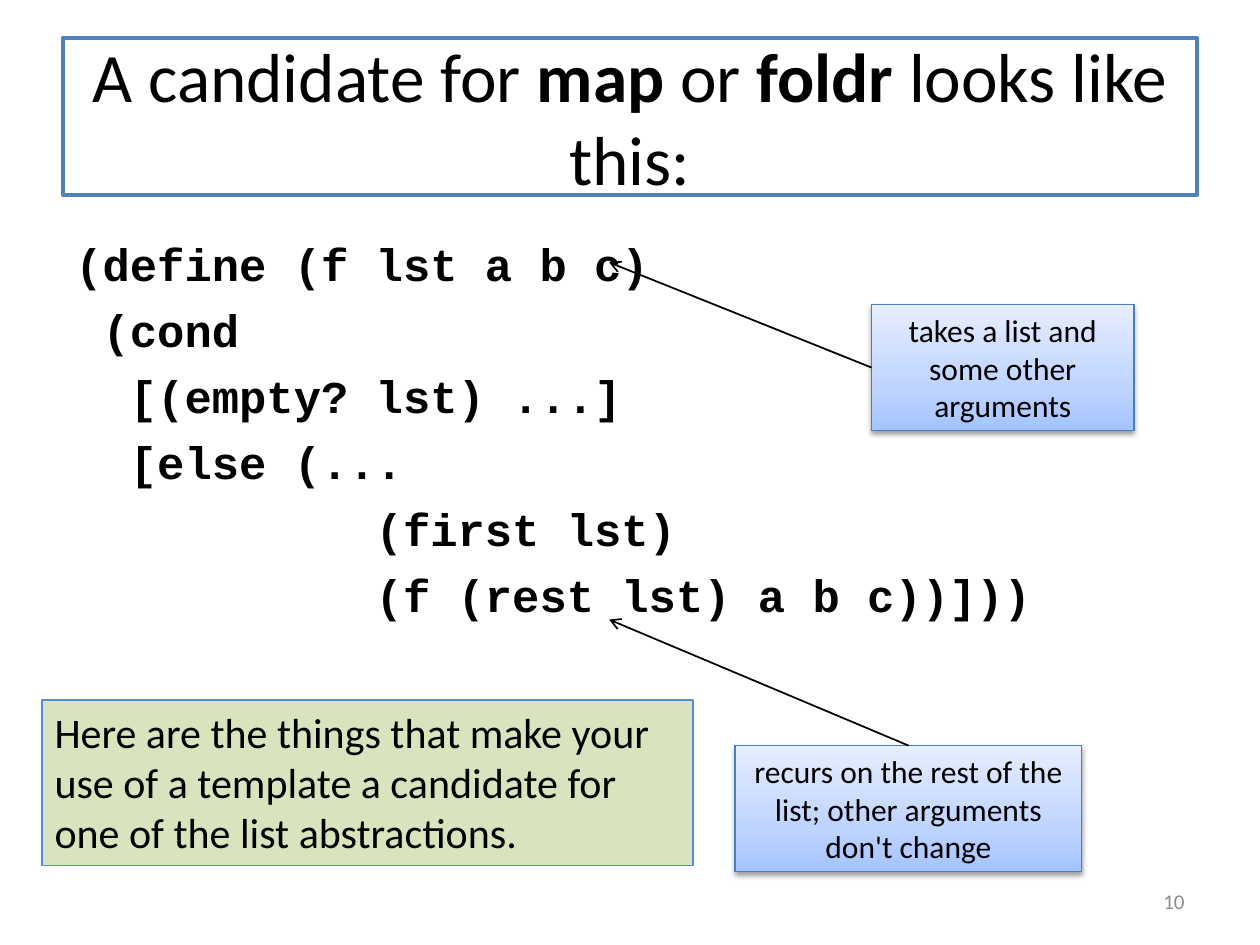
from lxml import etree
from pptx import Presentation
from pptx import util as u
from pptx.dml.color import RGBColor
from pptx.enum import shapes, text
from pptx.oxml.ns import qn

LEFT, CENTER, RIGHT = text.PP_ALIGN.LEFT, text.PP_ALIGN.CENTER, text.PP_ALIGN.RIGHT
TOP, MIDDLE = text.MSO_ANCHOR.TOP, text.MSO_ANCHOR.MIDDLE

TITLE = [("A candidate for ", False), ("map", True), (" or ", False),
         ("foldr", True), (" looks like this:", False)]
CODE = """(define (f lst a b c)
 (cond
  [(empty? lst) ...]
  [else (...
           (first lst)
           (f (rest lst) a b c))]))"""
SUMMARY = ("Here are the things that make your use of a template "
           "a candidate for one of the list abstractions.")
CALLOUT_STOPS = [(0, "A4C4FF"), (35, "BFD4FF"), (100, "E6EEFF")]


def color(value):
    return RGBColor.from_string(value)


def child(parent, tag, **attributes):
    return etree.SubElement(parent, qn(tag), {k: str(v) for k, v in attributes.items()})


def style(font, size, name="Calibri", ink="000000"):
    font.size = u.Pt(size)
    font.name = name
    font.color.rgb = color(ink)


def set_frame(box, anchor):
    frame = box.text_frame
    frame.word_wrap = True
    frame.vertical_anchor = anchor
    return frame


def write(box, words, size, align, anchor, ink="000000"):
    para = set_frame(box, anchor).paragraphs[0]
    para.text = words
    para.alignment = align
    style(para.font, size, ink=ink)


def add_panel(page, place, line, width):
    box = page.shapes.add_shape(shapes.MSO_SHAPE.RECTANGLE, *map(u.Cm, place))
    box.shadow.inherit = False
    box.line.color.rgb = color(line)
    box.line.width = u.Pt(width)
    return box


def add_solid_panel(page, place, fill, line, width):
    box = add_panel(page, place, line, width)
    box.fill.solid()
    box.fill.fore_color.rgb = color(fill)
    return box


def add_title(page, place):
    box = add_solid_panel(page, place, "FFFFFF", "4F81BD", 2.25)
    para = set_frame(box, MIDDLE).paragraphs[0]
    para.alignment = CENTER
    style(para.font, 39.6)
    for words, bold in TITLE:
        span = para.add_run()
        span.text = words
        span.font.bold = bold


def add_code(page, place):
    box = page.shapes.add_textbox(*map(u.Cm, place))
    frame = set_frame(box, TOP)
    frame.margin_top = u.Cm(0.3)
    for number, line in enumerate(CODE.split("\n")):
        para = frame.add_paragraph() if number else frame.paragraphs[0]
        para.text = line
        para.space_before = u.Pt(6.7 if number else 0)
        indent = u.Cm(0.95)
        properties = para._p.get_or_add_pPr()
        properties.set("marL", str(indent))
        properties.set("indent", str(-indent))
        style(para.font, 26, "Courier New")
        para.font.bold = True


def add_callout(page, place, words):
    box = add_panel(page, place, "4B7EBC", 0.75)
    # Three-stop gradient, darkest at the bottom
    box.fill.gradient()
    box.fill.gradient_angle = 90
    properties = box._element.spPr
    stops = properties.find(".//" + qn("a:gsLst"))
    for stop in list(stops):
        stops.remove(stop)
    for position, value in CALLOUT_STOPS:
        child(child(stops, "a:gs", pos=position * 1000), "a:srgbClr", val=value)
    # Soft shadow below
    shadow = child(properties.find(qn("a:effectLst")), "a:outerShdw", blurRad=u.Pt(3.1),
                   dist=u.Pt(1.6), dir=90 * 60000, rotWithShape=0)
    child(child(shadow, "a:srgbClr", val="000000"), "a:alpha", val=38000)
    write(box, words, 18, CENTER, MIDDLE)
    return box


def add_arrow(page, box, side, tip):
    x, y = map(u.Cm, tip)
    arrow = page.shapes.add_connector(shapes.MSO_CONNECTOR.STRAIGHT, x, y, x, y)
    arrow.begin_connect(box, side)
    arrow.line.color.rgb = color("000000")
    arrow.line.width = u.Pt(1)
    child(arrow.line._get_or_add_ln(), "a:tailEnd", type="arrow")
    child(arrow._element.spPr, "a:effectLst")


def main():
    deck = Presentation()
    deck.slide_width, deck.slide_height = u.Cm(25.4), u.Cm(19.05)
    page = deck.slides.add_slide(deck.slide_layouts[6])

    # Title and code template
    add_title(page, (1.27, 0.76, 22.86, 3.18))
    add_code(page, (1.27, 4.45, 22.86, 12.57))

    # Slide number
    number = page.shapes.add_textbox(*map(u.Cm, (18.2, 17.66, 5.93, 1.01)))
    write(number, "10", 12, RIGHT, MIDDLE, "8C8C8C")

    # Callouts and summary
    arguments = add_callout(page, (17.57, 6.14, 5.29, 2.54),
                            "takes a list and some other arguments")
    recursion = add_callout(page, (14.82, 15.03, 6.99, 2.54),
                            "recurs on the rest of the list; other arguments don't change")
    summary = add_solid_panel(page, (0.85, 14.11, 13.12, 3.34), "D7E4BD", "558ED5", 1)
    write(summary, SUMMARY, 24, LEFT, TOP)

    # Arrows from the callouts to the code
    add_arrow(page, recursion, 0, (12.28, 12.49))
    add_arrow(page, arguments, 1, (12.28, 5.29))

    deck.save("out.pptx")


if __name__ == "__main__":
    main()
